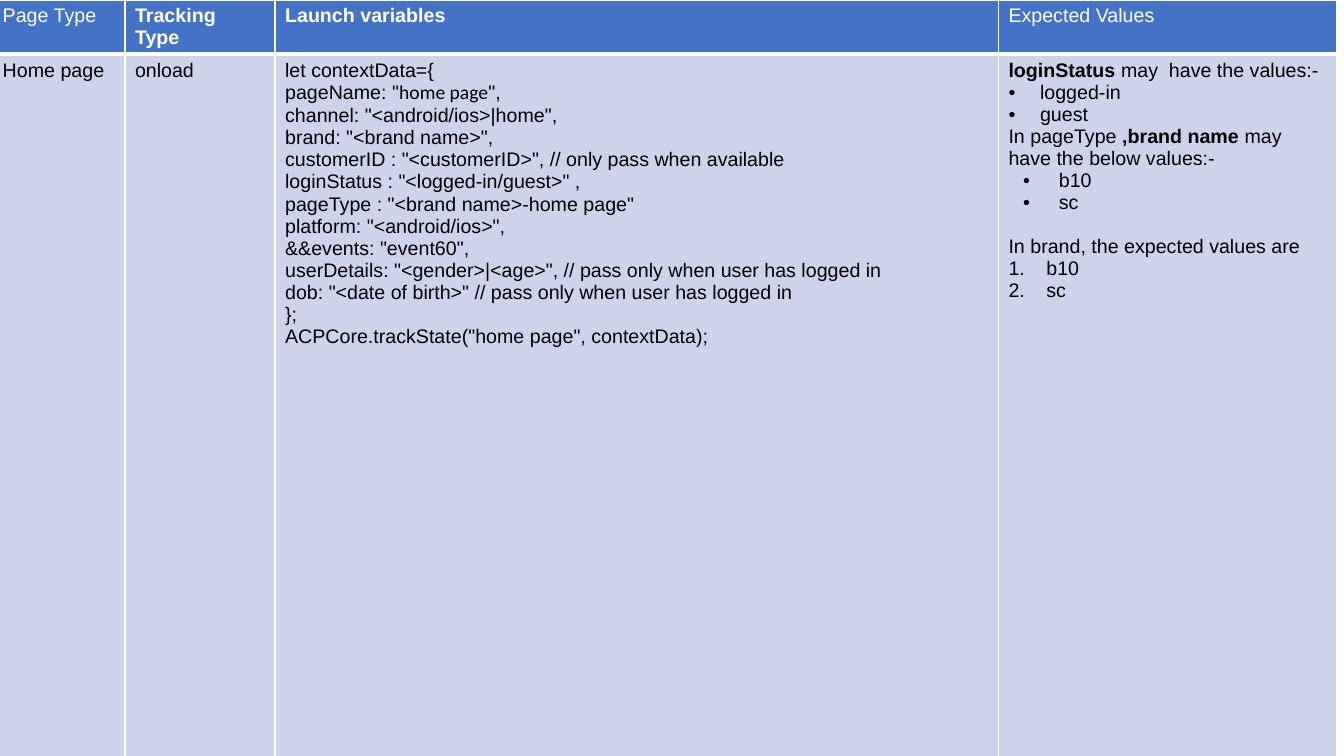
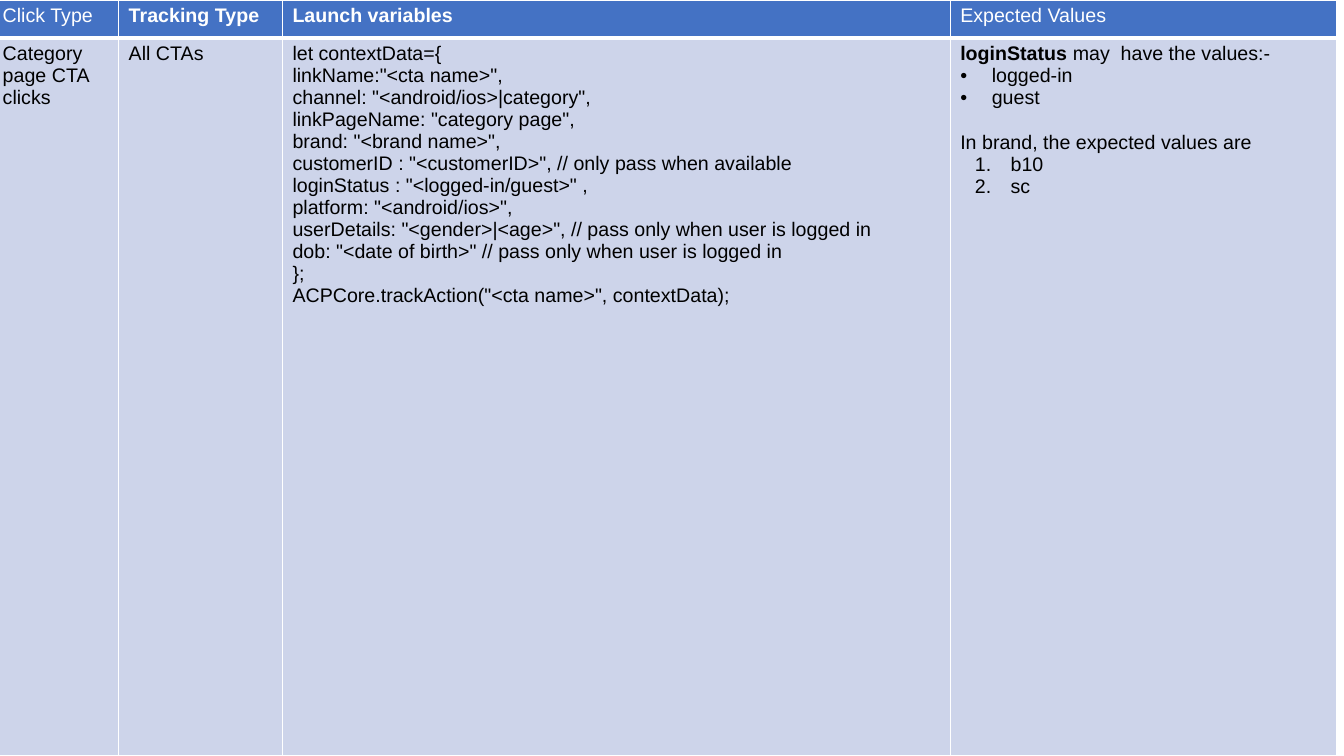
import pptx
import pptx.dml.color
import pptx.oxml
import pptx.oxml.ns
import pptx.util

RGB = pptx.dml.color.RGBColor
WHITE = RGB(0xFF, 0xFF, 0xFF)
BLACK = RGB(0x00, 0x00, 0x00)
BLUE = RGB(0x44, 0x72, 0xC4)
PALE = RGB(0xCD, 0xD4, 0xEA)
FONT, ALT = "Arial", "Calibri"
SIZE = 14
GAP = 16  # points before a new group of lines
PX = 9525  # EMU in one px
WIDE, HIGH, LEFT = 1280, 720, -7

# List styles: left margin and hanging indent in px, then the marker
DOT, NUM = '<a:buChar %s char="•"/>', '<a:buAutoNum %s type="arabicPeriod"/>'
LISTS = {
    "dot": (30, 30, DOT),
    "dot in": (48, 34, DOT),
    "num": (36, 36, NUM),
    "num in": (48, 34, NUM),
}

# Content: a line is a string or (style, run, ...); a run is a string or (mark, text)
STATUS = [
    ("", ("bold", "loginStatus "), "may  have the values:-"),
    ("dot", "logged-in"),
    ("dot", "guest"),
]
BRAND = ("gap", "In brand, the expected values are")
NAMES = ["b10", "sc"]

PAGES = [
    {
        "cols": [126, 143, 689, 322],
        "head": 50,
        "first": "Page Type",
        "body": [
            ["Home page"],
            ["onload"],
            [
                "let contextData={",
                ("", 'pageName: "', ("alt", "home page"), '",'),
                'channel: "<android/ios>|home",',
                'brand: "<brand name>",',
                'customerID : "<customerID>", // only pass when available',
                'loginStatus : "<logged-in/guest>" ,',
                'pageType : "<brand name>-home page"',
                'platform: "<android/ios>",',
                '&&events: "event60",',
                'userDetails: "<gender>|<age>", // pass only when user has logged in',
                'dob: "<date of birth>" // pass only when user has logged in',
                "};",
                'ACPCore.trackState("home page", contextData);',
            ],
            STATUS
            + [("", "In pageType ", ("bold", ",brand name "), "may have the below values:-")]
            + [("dot in", name) for name in NAMES]
            + [BRAND]
            + [("num", name) for name in NAMES],
        ],
    },
    {
        "cols": [120, 156, 636, 368],
        "head": 36,
        "first": "Click Type",
        "body": [
            ["Category page CTA clicks"],
            ["All CTAs"],
            [
                "let contextData={",
                'linkName:"<cta name>",',
                'channel: "<android/ios>|category",',
                'linkPageName: "category page",',
                'brand: "<brand name>",',
                'customerID : "<customerID>", // only pass when available',
                'loginStatus : "<logged-in/guest>" ,',
                'platform: "<android/ios>",',
                'userDetails: "<gender>|<age>", // pass only when user is logged in',
                'dob: "<date of birth>" // pass only when user is logged in',
                "};",
                'ACPCore.trackAction("<cta name>", contextData);',
            ],
            STATUS + [BRAND] + [("num in", name) for name in NAMES],
        ],
    },
]


def add_mark(para, style):
    """Give a paragraph its bullet or number."""
    left, hang, mark = LISTS[style]
    props = para._p.get_or_add_pPr()
    props.set("marL", str(left * PX))
    props.set("indent", str(-hang * PX))
    space = pptx.oxml.ns.nsdecls("a")
    props.append(pptx.oxml.parse_xml(f'<a:buFont {space} typeface="Arial"/>'))
    props.append(pptx.oxml.parse_xml(mark % space))


def add_lines(cell, lines, color):
    """Fill a cell with paragraphs, run by run."""
    frame = cell.text_frame
    for i, line in enumerate(lines):
        para = frame.add_paragraph() if i else frame.paragraphs[0]
        style, *runs = ("", line) if isinstance(line, str) else line
        if style == "gap":
            para.space_before = pptx.util.Pt(GAP)
        elif style:
            add_mark(para, style)
        for part in runs:
            mark, text = ("", part) if isinstance(part, str) else part
            run = para.add_run()
            run.text = text
            font = run.font
            font.name = ALT if mark == "alt" else FONT
            font.size = pptx.util.Pt(SIZE)
            font.bold = mark == "bold"
            font.color.rgb = color


def set_cell(cell, fill, top, base):
    """Paint a cell and its white borders; widths are in points."""
    props = cell._tc.get_or_add_tcPr()
    space = pptx.oxml.ns.nsdecls("a")
    for side, width in (("L", 1), ("R", 1), ("T", top), ("B", base)):
        props.append(pptx.oxml.parse_xml(
            f'<a:ln{side} {space} w="{pptx.util.Pt(width)}"><a:solidFill>'
            f'<a:srgbClr val="{WHITE}"/></a:solidFill></a:ln{side}>'))
    cell.fill.solid()
    cell.fill.fore_color.rgb = fill


def add_page(deck, page):
    slide = deck.slides.add_slide(deck.slide_layouts[6])
    # Header row, with its two middle labels in bold
    heads = [
        [page["first"]],
        [("", ("bold", "Tracking Type"))],
        [("", ("bold", "Launch variables"))],
        ["Expected Values"],
    ]
    rows = [
        (heads, page["head"], BLUE, WHITE, 1, 3),
        (page["body"], HIGH - page["head"], PALE, BLACK, 3, 1),
    ]
    table = slide.shapes.add_table(
        len(rows), len(heads), LEFT * PX, 0, WIDE * PX, HIGH * PX).table
    for col, width in zip(table.columns, page["cols"]):
        col.width = width * PX
    for row, (texts, height, fill, color, top, base) in zip(table.rows, rows):
        row.height = height * PX
        for cell, lines in zip(row.cells, texts):
            set_cell(cell, fill, top, base)
            add_lines(cell, lines, color)


def main():
    deck = pptx.Presentation()
    deck.slide_width, deck.slide_height = WIDE * PX, HIGH * PX
    for page in PAGES:
        add_page(deck, page)
    deck.save("out.pptx")


if __name__ == "__main__":
    main()
